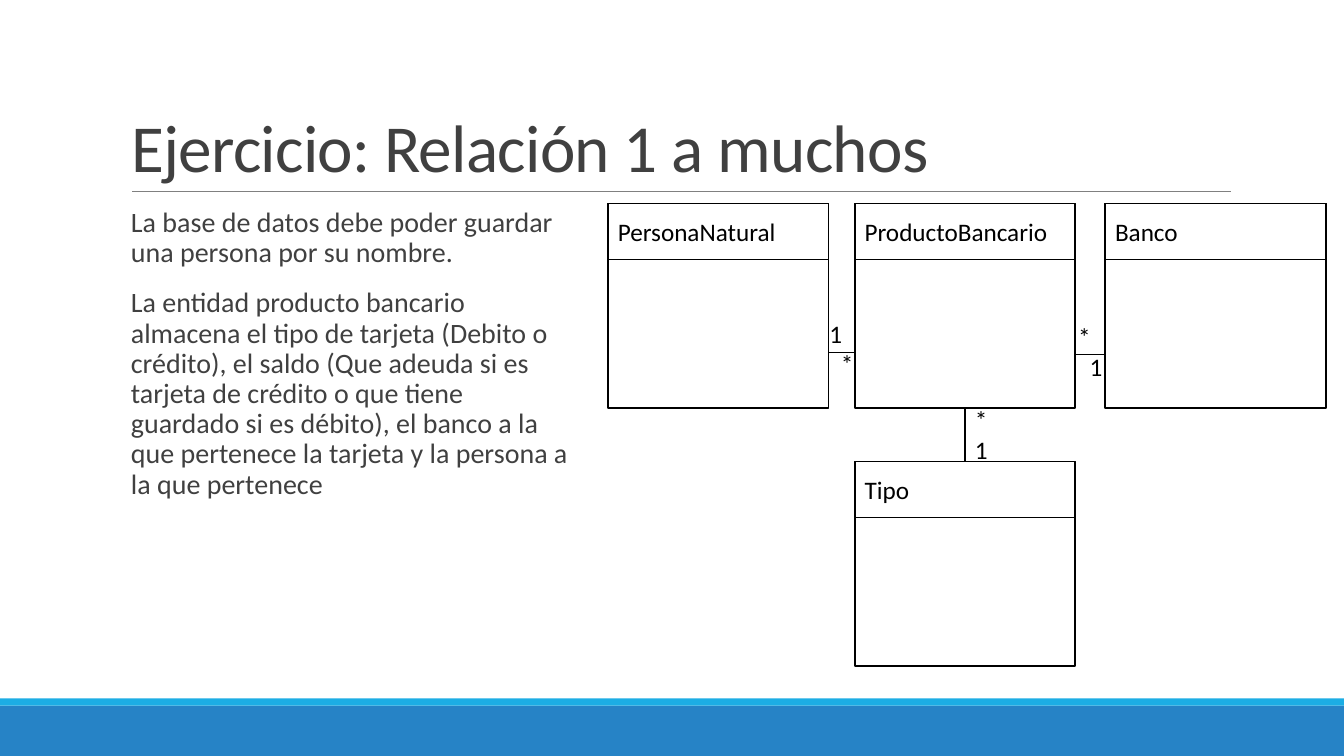
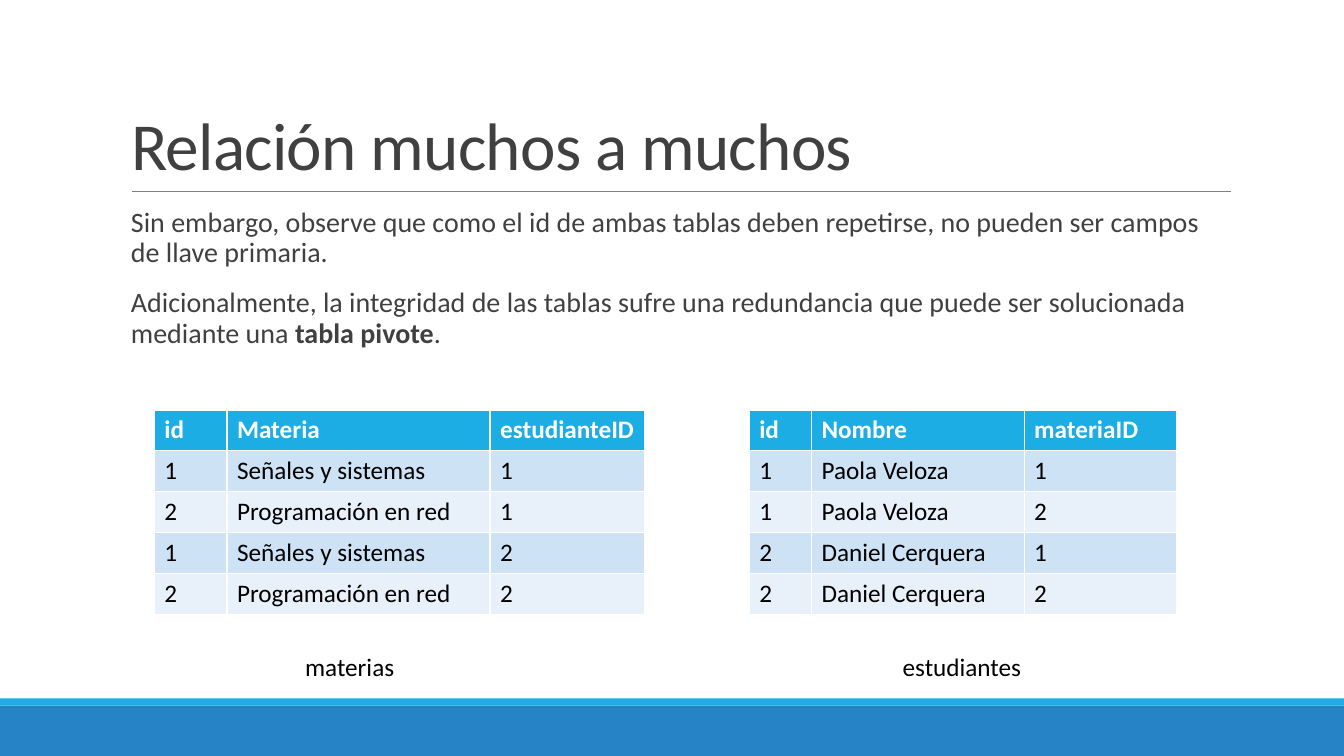
from pptx import Presentation
from pptx.dml.color import RGBColor
from pptx.enum.shapes import MSO_CONNECTOR as CONN, MSO_SHAPE as SHAPE
from pptx.enum.text import MSO_ANCHOR as ANCHOR, MSO_AUTO_SIZE as AUTO, PP_ALIGN as ALIGN
from pptx.oxml.ns import qn
from pptx.util import Cm, Pt
from lxml import etree

# Shared look
FONT = "Calibri"
WIDTH, HEIGHT = 33.87, 19.05
WHITE, BLACK, GREY, RULE = "FFFFFF", "000000", "404040", "808080"
BLUE, CYAN = "2683C6", "1CADE4"
STRIPES = ["CDE3F5", "E8F1FA"]
BODY_LEFT, BODY_TOP, BODY_HEIGHT = 3.05, 5.13, 11.18

# Slide 1: paragraphs and class diagram
EXERCISE = {
    "title": "Ejercicio: Relación 1 a muchos",
    "title_top": 0.79,
    "body_width": 11.5,
    "body": [
        "La base de datos debe poder guardar una persona por su nombre.",
        "La entidad producto bancario almacena el tipo de tarjeta (Debito o "
        "crédito), el saldo (Que adeuda si es tarjeta de crédito o que tiene "
        "guardado si es débito), el banco a la que pertenece la tarjeta y la "
        "persona a la que pertenece",
    ],
}
CLASS_W, CLASS_H, NAME_H = 5.56, 5.16, 1.41
CLASSES = {  # name: left, top
    "PersonaNatural": (15.32, BODY_TOP),
    "ProductoBancario": (21.54, BODY_TOP),
    "Banco": (27.85, BODY_TOP),
    "Tipo": (21.54, 11.63),
}
SIDE_LINKS = [("PersonaNatural", "ProductoBancario", 8.89),
              ("ProductoBancario", "Banco", 8.94)]
DOWN_LINK = ("ProductoBancario", "Tipo")
MULTIPLICITIES = [  # left, top, width, lines, indent of the second line
    (20.65, 7.9, 4.2, ["1", "*"], 0.29),
    (26.92, 7.97, 3.28, ["*", "1"], 0.29),
    (24.32, 10.06, 3.28, ["*", "1"], 0),
]

# Slide 2: paragraphs and tables
MANY = {
    "title": "Relación muchos a muchos",
    "title_top": 0.74,
    "body_width": 27.94,
    "body": [
        "Sin embargo, observe que como el id de ambas tablas deben repetirse, "
        "no pueden ser campos de llave primaria.",
        ["Adicionalmente, la integridad de las tablas sufre una redundancia "
         "que puede ser solucionada mediante una ", ("tabla pivote", True), "."],
    ],
}
TABLE_TOP, ROW_H, CAPTION_TOP, CAPTION_W = 10.33, 1.03, 16.3, 4.39
TABLES = [
    {"caption": "materias", "caption_left": 7.44, "left": 3.89,
     "cols": [1.83, 6.63, 3.89],
     "rows": [("id", "Materia", "estudianteID"),
              ("1", "Señales y sistemas", "1"),
              ("2", "Programación en red", "1"),
              ("1", "Señales y sistemas", "2"),
              ("2", "Programación en red", "2")]},
    {"caption": "estudiantes", "caption_left": 22.5, "left": 18.88,
     "cols": [1.57, 5.36, 3.84],
     "rows": [("id", "Nombre", "materiaID"),
              ("1", "Paola Veloza", "1"),
              ("1", "Paola Veloza", "2"),
              ("2", "Daniel Cerquera", "1"),
              ("2", "Daniel Cerquera", "2")]},
]


def rgb(color):
    return RGBColor.from_string(color)


def place(s, left, top, width, height):
    s.left, s.top, s.width, s.height = Cm(left), Cm(top), Cm(width), Cm(height)


def write(tf, paras, size=18, color=BLACK, bold=False, spacing=None,
          before=None, after=None, anchor=None, track=None):
    """Fill a text frame; a paragraph is a string or a list of runs."""
    tf.word_wrap = True
    if anchor is not None:
        tf.vertical_anchor = anchor
    for i, runs in enumerate(paras):
        p = tf.paragraphs[0] if i == 0 else tf.add_paragraph()
        p.alignment = ALIGN.LEFT
        p.line_spacing = spacing
        p.space_before, p.space_after = before, after
        for run in [runs] if isinstance(runs, str) else runs:
            text, strong = (run, bold) if isinstance(run, str) else run
            r = p.add_run()
            r.text = text
            r.font.name, r.font.size, r.font.bold = FONT, Pt(size), strong
            r.font.color.rgb = rgb(color)
            if track is not None:
                r.font._element.set("spc", str(track))


def add_text(slide, left, top, width, height, paras, **fmt):
    s = slide.shapes.add_textbox(Cm(left), Cm(top), Cm(width), Cm(height))
    write(s.text_frame, paras, **fmt)
    return s.text_frame


def add_rect(slide, left, top, width, height, fill, line=None):
    s = slide.shapes.add_shape(SHAPE.RECTANGLE, Cm(left), Cm(top), Cm(width), Cm(height))
    s.shadow.inherit = False
    s.fill.solid()
    s.fill.fore_color.rgb = rgb(fill)
    if line:
        s.line.color.rgb = rgb(line)
        s.line.width = Pt(1.25)
    else:
        s.line.fill.background()
    return s


def add_line(slide, x1, y1, x2, y2, color=BLACK, width=1):
    s = slide.shapes.add_connector(CONN.STRAIGHT, Cm(x1), Cm(y1), Cm(x2), Cm(y2))
    s.line.color.rgb = rgb(color)
    s.line.width = Pt(width)
    etree.SubElement(s.element.spPr, qn("a:effectLst"))
    return s


def add_frame(slide, layout):
    """Draw the bands and the title rule, then hand them to the layout."""
    parts = [add_rect(slide, 0, 17.78, WIDTH, 1.27, BLUE),
             add_rect(slide, 0, 17.6, WIDTH, 0.18, CYAN),
             add_line(slide, 3.33, 4.83, 31.01, 4.83, RULE, 0.5)]
    for i, s in enumerate(parts):
        s.element.xpath(".//p:cNvPr")[0].set("id", str(100 + i))
        layout.shapes.element.append(s.element)


def add_page(content):
    slide = prs.slides.add_slide(layout)
    title = slide.shapes.title
    place(title, BODY_LEFT, content["title_top"], 27.94, 4.04)
    title.text_frame.auto_size = AUTO.NONE
    write(title.text_frame, [content["title"]], size=48, color=GREY,
          spacing=0.85, anchor=ANCHOR.BOTTOM, track=-50)
    tf = add_text(slide, BODY_LEFT, BODY_TOP, content["body_width"], BODY_HEIGHT,
                  content["body"], size=20, color=GREY, spacing=0.9,
                  before=Pt(12), after=Pt(2))
    tf.margin_left, tf.margin_right = Cm(0.25), 0
    return slide


def add_class(slide, name, left, top):
    add_rect(slide, left, top, CLASS_W, CLASS_H, WHITE, BLACK)
    s = add_rect(slide, left, top, CLASS_W, NAME_H, WHITE, BLACK)
    write(s.text_frame, [name], anchor=ANCHOR.MIDDLE)


def add_grid(slide, left, cols, rows):
    s = slide.shapes.add_table(len(rows), len(cols), Cm(left), Cm(TABLE_TOP),
                               Cm(sum(cols)), Cm(ROW_H * len(rows)))
    for column, width in zip(s.table.columns, cols):
        column.width = Cm(width)
    for i, row in enumerate(rows):
        head = i == 0
        for j, text in enumerate(row):
            cell = s.table.cell(i, j)
            cell.fill.solid()
            cell.fill.fore_color.rgb = rgb(CYAN if head else STRIPES[(i - 1) % 2])
            write(cell.text_frame, [text], color=WHITE if head else BLACK, bold=head)


prs = Presentation()
prs.slide_width, prs.slide_height = Cm(WIDTH), Cm(HEIGHT)
layout = prs.slide_layouts[5]

# Slide 1
slide = add_page(EXERCISE)
add_frame(slide, layout)
for name, (left, top) in CLASSES.items():
    add_class(slide, name, left, top)
for start, end, y in SIDE_LINKS:
    add_line(slide, CLASSES[start][0] + CLASS_W, y, CLASSES[end][0], y)
upper, lower = (CLASSES[name] for name in DOWN_LINK)
middle = upper[0] + CLASS_W / 2
add_line(slide, middle, upper[1] + CLASS_H, middle, lower[1])
for left, top, width, marks, indent in MULTIPLICITIES:
    tf = add_text(slide, left, top, width, 1.8, marks)
    tf.paragraphs[1]._p.get_or_add_pPr().set("marL", str(Cm(indent)))

# Slide 2
slide = add_page(MANY)
for t in TABLES:
    add_grid(slide, t["left"], t["cols"], t["rows"])
    add_text(slide, t["caption_left"], CAPTION_TOP, CAPTION_W, 1.03, [t["caption"]])

prs.save("out.pptx")
